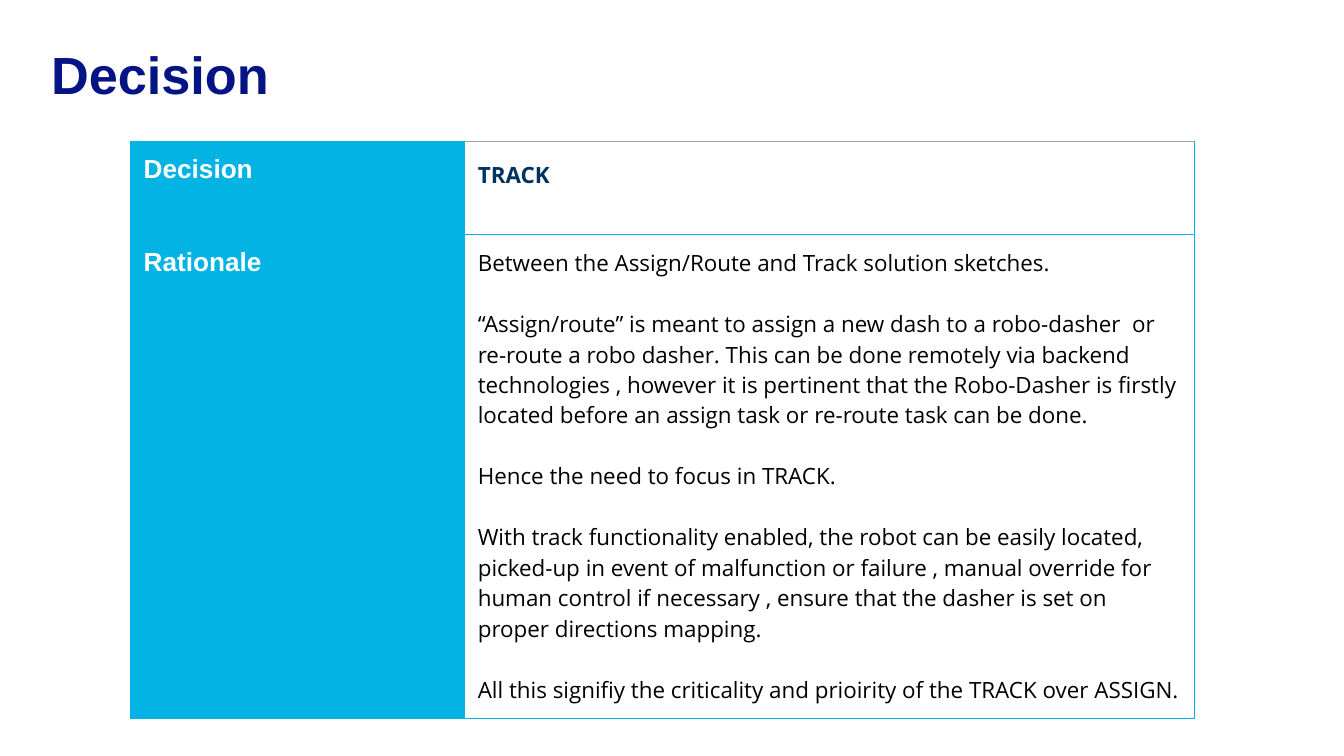
import pptx
import pptx.util
import pptx.dml.color
import pptx.enum.text
import pptx.oxml
import pptx.oxml.ns

Pt = pptx.util.Pt
RGB = pptx.dml.color.RGBColor

NAVY = RGB(0x05, 0x14, 0x85)
CYAN = RGB(0x02, 0xB3, 0xE4)
INK = RGB(0x01, 0x32, 0x60)
GREY = RGB(0x9E, 0x9E, 0x9E)
WHITE = RGB(0xFF, 0xFF, 0xFF)
BLACK = RGB(0, 0, 0)

TITLE = "Decision"
ROWS = [
    ("Decision", ["TRACK"]),
    ("Rationale", [
        "Between the Assign/Route and Track solution sketches.",
        "“Assign/route” is meant to assign a new dash to a robo-dasher  or re-route a robo dasher. This can be done remotely via backend technologies , however it is pertinent that the Robo-Dasher is firstly located before an assign task or re-route task can be done.",
        "Hence the need to focus in TRACK.",
        "With track functionality enabled, the robot can be easily located, picked-up in event of malfunction or failure , manual override for human control if necessary , ensure that the dasher is set on proper directions mapping.",
        "All this signifiy the criticality and prioirity of the TRACK over ASSIGN.",
    ]),
]
COL_WIDTHS = [179, 391]
ROW_HEIGHTS = [49.7, 259.3]
PARAGRAPH_GAP = 16.3

TITLE_FONT = dict(name="Arial", size=Pt(28), bold=True)
LABEL_FONT = dict(name="Arial", size=Pt(14), bold=True)
CHOICE_FONT = dict(name="Open Sans", size=Pt(12), bold=True)
REASON_FONT = dict(name="Open Sans", size=Pt(12), bold=False)


def set_all(obj, values):
    for key, value in values.items():
        setattr(obj, key, value)


def write(tf, texts, font, color, line_spacing=1.0):
    for i, text in enumerate(texts):
        p = tf.paragraphs[0] if i == 0 else tf.add_paragraph()
        r = p.add_run()
        r.text = text
        set_all(r.font, font)
        r.font.color.rgb = color
        p.alignment = pptx.enum.text.PP_ALIGN.LEFT
        p.line_spacing = line_spacing
        p.space_before = Pt(PARAGRAPH_GAP if i else 0)


def set_borders(cell, top_color):
    colors = dict(lnL=CYAN, lnR=CYAN, lnT=top_color, lnB=CYAN)
    for i, (tag, color) in enumerate(colors.items()):
        ln = pptx.oxml.parse_xml(
            f'<a:{tag} {pptx.oxml.ns.nsdecls("a")} w="{Pt(0.75)}"><a:solidFill>'
            f'<a:srgbClr val="{color}"/></a:solidFill></a:{tag}>')
        cell._tc.get_or_add_tcPr().insert(i, ln)


prs = pptx.Presentation()
set_all(prs, dict(slide_width=Pt(720), slide_height=Pt(405)))
s = prs.slides.add_slide(prs.slide_layouts[5])

sp = s.shapes.title
set_all(sp, dict(left=Pt(24.5), top=Pt(17), width=Pt(671), height=Pt(45)))
margins = ("margin_left", "margin_right", "margin_top", "margin_bottom")
set_all(sp.text_frame, dict.fromkeys(margins, Pt(2.9)))
sp.text_frame.vertical_anchor = pptx.enum.text.MSO_ANCHOR.MIDDLE
write(sp.text_frame, [TITLE], TITLE_FONT, NAVY)

table = s.shapes.add_table(len(ROWS), 2, Pt(69.8), Pt(75.8),
                           Pt(sum(COL_WIDTHS)), Pt(sum(ROW_HEIGHTS))).table
set_all(table, dict(first_row=False, horz_banding=False))
for column, width in zip(table.columns, COL_WIDTHS):
    column.width = Pt(width)
for row, height in zip(table.rows, ROW_HEIGHTS):
    row.height = Pt(height)

for i, (label, texts) in enumerate(ROWS):
    label_cell, text_cell = table.cell(i, 0), table.cell(i, 1)
    label_cell.fill.solid()
    label_cell.fill.fore_color.rgb = CYAN
    text_cell.fill.background()
    for cell in (label_cell, text_cell):
        set_all(cell, dict.fromkeys(margins, Pt(7.2)))
    set_borders(label_cell, CYAN)
    set_borders(text_cell, CYAN if i else GREY)
    write(label_cell.text_frame, [label], LABEL_FONT, WHITE)
    if i == 0:
        write(text_cell.text_frame, texts, CHOICE_FONT, INK, 1.15)
    else:
        write(text_cell.text_frame, texts, REASON_FONT, BLACK)

prs.save("out.pptx")
